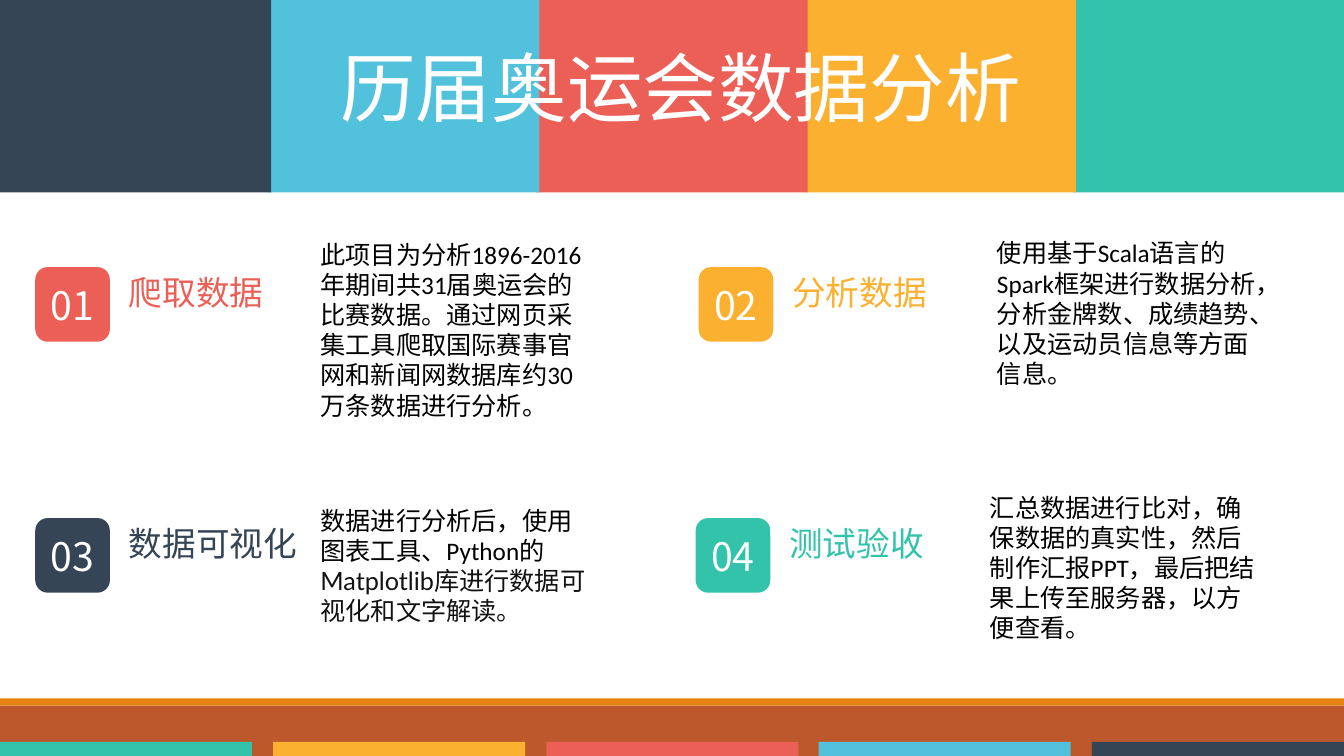
from dataclasses import dataclass

from pptx import Presentation
from pptx import util as u
from pptx.dml.color import RGBColor
from pptx.enum import shapes, text
from pptx.enum.lang import MSO_LANGUAGE_ID

PX = 9144  # EMU per px, 100 px to the inch
WIDTH, HEIGHT = 1333, 750

NAVY = RGBColor(0x36, 0x45, 0x55)
BLUE = RGBColor(0x52, 0xC2, 0xDC)
RED = RGBColor(0xEB, 0x5F, 0x56)
YELLOW = RGBColor(0xFC, 0xB0, 0x30)
GREEN = RGBColor(0x33, 0xC3, 0xAB)
BROWN = RGBColor(0xBD, 0x58, 0x2C)
ORANGE = RGBColor(0xE4, 0x83, 0x12)
WHITE = RGBColor(0xFF, 0xFF, 0xFF)
BLACK = RGBColor(0, 0, 0)
INK = RGBColor(0x12, 0x12, 0x12)
PALETTE = [NAVY, BLUE, RED, YELLOW, GREEN]

TITLE_FONT = "Noto Sans CJK JP"
LABEL_FONT = "Noto Sans CJK SC"


@dataclass(frozen=True)
class Run:
    text: str
    font: str = "Calibri"
    size: int = 18
    color: RGBColor = BLACK


@dataclass(frozen=True)
class Box:
    x: int
    y: int
    w: int
    h: int

    def emu(self) -> list[int]:
        return [v * PX for v in (self.x, self.y, self.w, self.h)]


@dataclass(frozen=True)
class Step:
    number: str
    label: str
    color: RGBColor
    x: int
    y: int
    body_box: Box
    body: tuple[Run, ...]


STEPS = [
    Step("01", "爬取数据", RED, 35, 265, Box(308, 232, 284, 192), (
        Run("此项目为分析1896-2016年期间共31届奥运会的比赛数据。通过"
            "网页采集工具爬取国际赛事官网和新闻网数据库约30万条数据进行分析。"),)),
    Step("03", "数据可视化", NAVY, 35, 514, Box(308, 496, 284, 131), (
        Run("数据进行分析后，使用图表工具、Python的"),
        Run("Matplotlib库进行数据可视化和文字解读。", "Lato", color=INK))),
    Step("02", "分析数据", YELLOW, 693, 265, Box(979, 231, 280, 162), (
        Run("使用基于Scala语言的Spark框架进行数据分析，分析金牌数、"
            "成绩趋势、以及运动员信息等方面信息。"),)),
    Step("04", "测试验收", GREEN, 690, 514, Box(972, 483, 284, 162), (
        Run("汇总数据进行比对，确保数据的真实性，然后制作汇报PPT，"
            "最后把结果上传至服务器，以方便查看。"),)),
]


def write(sp, runs: tuple[Run, ...], align=text.PP_ALIGN.LEFT,
          anchor=text.MSO_ANCHOR.TOP) -> None:
    tf = sp.text_frame
    tf.word_wrap = True
    tf.vertical_anchor = anchor
    p = tf.paragraphs[0]
    p.alignment = align
    for run in runs:
        r = p.add_run()
        r.text = run.text
        r.font.name = run.font
        r.font.size = u.Pt(run.size)
        r.font.color.rgb = run.color
        r.font.language_id = MSO_LANGUAGE_ID.SIMPLIFIED_CHINESE


def add_block(parent, box: Box, color: RGBColor,
              kind=shapes.MSO_SHAPE.RECTANGLE):
    sp = parent.add_shape(kind, *box.emu())
    sp.shadow.inherit = False
    sp.fill.solid()
    sp.fill.fore_color.rgb = color
    sp.line.fill.background()
    return sp


def add_text(parent, box: Box, runs: tuple[Run, ...]) -> None:
    sp = parent.add_textbox(*box.emu())
    write(sp, runs)
    sp.text_frame.auto_size = text.MSO_AUTO_SIZE.SHAPE_TO_FIT_TEXT


def add_bands(parent, y: int, w: int, h: int, colors: list[RGBColor]) -> None:
    """Spread equal bands over the slide width, the leftmost in front."""
    pitch = (WIDTH - w) / (len(colors) - 1)
    for i, color in reversed(list(enumerate(colors))):
        add_block(parent, Box(round(i * pitch), y, w, h), color)


def add_title(slide, box: Box, run: Run) -> None:
    sp = slide.shapes.title
    sp.left, sp.top, sp.width, sp.height = box.emu()
    write(sp, (run,), text.PP_ALIGN.CENTER)
    sp.text_frame.auto_size = text.MSO_AUTO_SIZE.NONE
    slide.shapes._spTree.append(sp._element)  # in front of the bands


def add_step(parent, step: Step) -> None:
    group = parent.add_group_shape().shapes
    badge = add_block(group, Box(step.x, step.y, 74, 74), step.color,
                      shapes.MSO_SHAPE.ROUNDED_RECTANGLE)
    write(badge, (Run(step.number, LABEL_FONT, 28, WHITE),),
          text.PP_ALIGN.CENTER, text.MSO_ANCHOR.MIDDLE)
    add_text(group, Box(step.x + 83, step.y, 258, 50),
             (Run(step.label, LABEL_FONT, 24, step.color),))
    add_text(parent, step.body_box, step.body)


def main() -> None:
    prs = Presentation()
    prs.slide_width, prs.slide_height = WIDTH * PX, HEIGHT * PX
    slide = prs.slides.add_slide(prs.slide_layouts.get_by_name("Title Only"))
    add_block(slide.shapes, Box(0, 700, WIDTH, 50), BROWN)
    add_block(slide.shapes, Box(0, 693, WIDTH, 7), ORANGE)
    add_bands(slide.shapes, 0, 269, 191, PALETTE)
    add_title(slide, Box(287, 36, 776, 101),
              Run("历届奥运会数据分析", TITLE_FONT, 54, WHITE))
    add_bands(slide.shapes, 736, 250, 14, PALETTE[::-1])
    for step in STEPS:
        add_step(slide.shapes, step)
    prs.save("out.pptx")


if __name__ == "__main__":
    main()
